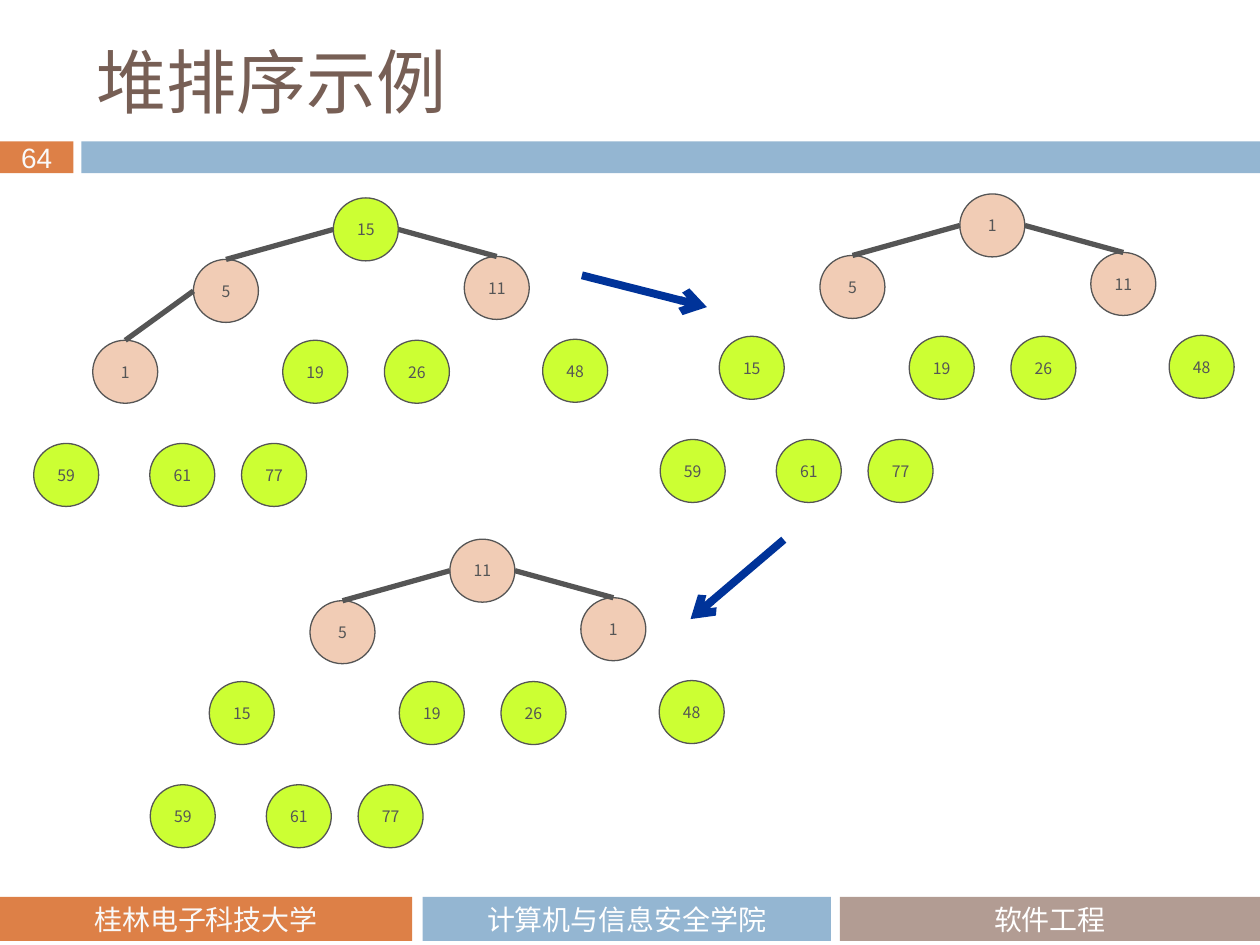
from lxml import etree
from pptx import Presentation
from pptx.dml.color import RGBColor
from pptx.enum.shapes import MSO_CONNECTOR, MSO_SHAPE
from pptx.enum.text import MSO_ANCHOR, PP_ALIGN
from pptx.oxml.ns import qn
from pptx.util import Cm, Pt

RECT, OVAL = MSO_SHAPE.RECTANGLE, MSO_SHAPE.OVAL
STRAIGHT = MSO_CONNECTOR.STRAIGHT
MIDDLE = MSO_ANCHOR.MIDDLE
LEFT, CENTER = PP_ALIGN.LEFT, PP_ALIGN.CENTER

COLORS = {
    "orange": "DD8047", "blue": "94B6D2", "taupe": "B29C93",
    "title": "775F55", "white": "FFFFFF", "light": "F9F9F9",
    "heap": "F1CCB5", "sorted": "CCFF33", "ink": "555555", "arrow": "003399",
}
NODE_W, NODE_H = 1.31, 1.27

# Node offsets from the root in level order (cm)
NODE_OFFSETS = [
    (0, 0),
    (-2.82, 1.24), (2.64, 1.18),
    (-4.85, 2.87), (-1.02, 2.87), (1.03, 2.87), (4.22, 2.85),
    (-6.04, 4.95), (-3.7, 4.95), (-1.85, 4.95),
]
SORTED_TAIL = [19, 26, 48, 59, 61, 77]

# Root position (cm), leading values, number of nodes still in the heap
# The first tree has just swapped its maximum out of the remaining heap
HEAPS = [
    ((6.72, 3.99), [15, 5, 11, 1], {1, 2, 3}),
    ((19.35, 3.91), [1, 5, 11, 15], {0, 1, 2}),
    ((9.07, 10.87), [11, 5, 1, 15], {0, 1, 2}),
]


def rgb(name):
    return RGBColor.from_string(COLORS[name])


def write(shape, text, size, font, color, align=CENTER, inset=0):
    frame = shape.text_frame
    frame.word_wrap = True
    frame.vertical_anchor = MIDDLE
    frame.margin_left = frame.margin_right = Cm(inset)
    frame.margin_top = frame.margin_bottom = 0
    frame.text = text
    paragraph = frame.paragraphs[0]
    paragraph.alignment = align
    run = paragraph.runs[0]
    run.font.size = Pt(size)
    run.font.color.rgb = rgb(color)
    run.font.name = font
    east_asian = etree.Element(qn("a:ea"), typeface=font)
    run.font._element.find(qn("a:latin")).addnext(east_asian)


def add_filled(slide, kind, left, top, width, height, fill):
    shape = slide.shapes.add_shape(kind, Cm(left), Cm(top), Cm(width), Cm(height))
    shape.shadow.inherit = False
    shape.fill.solid()
    shape.fill.fore_color.rgb = rgb(fill)
    shape.line.fill.background()
    return shape


def add_node(slide, left, top, value, fill):
    node = add_filled(slide, OVAL, left, top, NODE_W, NODE_H, fill)
    node.line.color.rgb = rgb("ink")
    node.line.width = Pt(0.75)
    write(node, str(value), 9, "Noto Sans CJK SC", "ink")


def add_line(slide, start, end, color, width, arrow=False):
    line = slide.shapes.add_connector(STRAIGHT, *map(Cm, start + end))
    line.line.color.rgb = rgb(color)
    line.line.width = Pt(width)
    if arrow:
        etree.SubElement(line.line._get_or_add_ln(), qn("a:tailEnd"), type="arrow")
    etree.SubElement(line._element.spPr, qn("a:effectLst"))


def add_heap(slide, root, leading, in_heap):
    places = [(root[0] + dx, root[1] + dy) for dx, dy in NODE_OFFSETS]
    for index, (place, value) in enumerate(zip(places, leading + SORTED_TAIL)):
        add_node(slide, *place, value, "heap" if index in in_heap else "sorted")
    # Edges run from the side of a parent to the top of its child
    for child in sorted(in_heap - {0}):
        parent_left, parent_top = places[(child - 1) // 2]
        child_left, child_top = places[child]
        side = 0 if child % 2 else NODE_W
        add_line(slide, (parent_left + side, parent_top + NODE_H / 2),
                 (child_left + NODE_W / 2, child_top), "ink", 3)


def add_frame(slide):
    # Title and the band below it
    title = slide.shapes.add_textbox(Cm(1.7), Cm(0.64), Cm(22.66), Cm(1.98))
    write(title, "堆排序示例", 40, "Noto Sans CJK JP", "title", LEFT, 0.25)
    number = add_filled(slide, RECT, 0, 2.85, 1.48, 0.64, "orange")
    write(number, "64", 16, "Arial", "light")
    add_filled(slide, RECT, 1.64, 2.85, 23.76, 0.64, "blue")

    # Footer
    for left, width, fill, text, color in [
        (0, 8.31, "orange", "桂林电子科技大学", "light"),
        (8.52, 8.23, "blue", "计算机与信息安全学院", "white"),
        (16.93, 8.47, "taupe", "软件工程", "white"),
    ]:
        bar = add_filled(slide, RECT, left, 18.08, width, 0.89, fill)
        write(bar, text, 16, "Cabin", color)


def main():
    deck = Presentation()
    deck.slide_width, deck.slide_height = Cm(25.4), Cm(19.05)
    slide = deck.slides.add_slide(deck.slide_layouts[6])
    add_frame(slide)
    for root, leading, in_heap in HEAPS:
        add_heap(slide, root, leading, in_heap)
    # Steps from one heap to the next
    add_line(slide, (11.73, 5.55), (14.25, 6.19), "arrow", 4.5, arrow=True)
    add_line(slide, (15.8, 10.88), (13.92, 12.48), "arrow", 4.5, arrow=True)
    deck.save("out.pptx")


if __name__ == "__main__":
    main()
